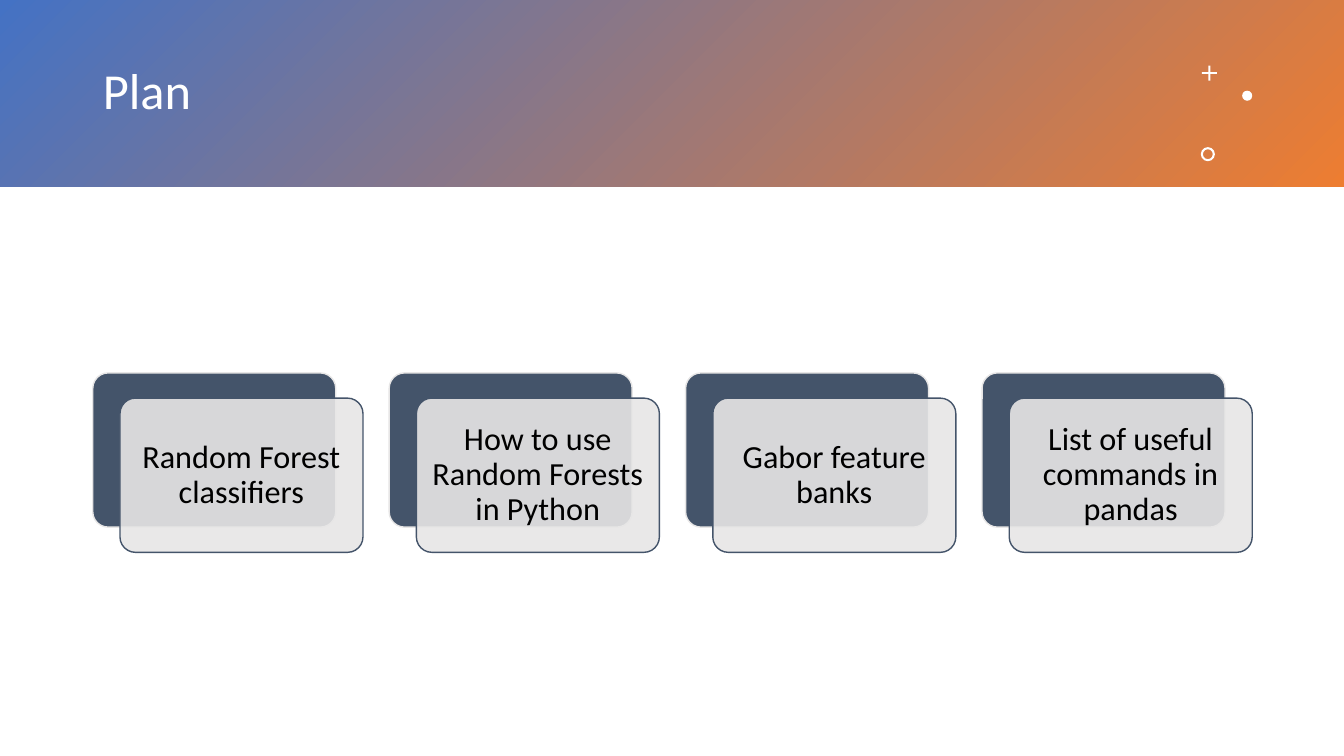
import lxml.etree
import pptx
import pptx.dml.color
import pptx.enum.shapes
import pptx.enum.text
import pptx.oxml.ns
import pptx.util

SHAPES = pptx.enum.shapes.MSO_SHAPE
ALIGN = pptx.enum.text.PP_ALIGN
ANCHOR = pptx.enum.text.MSO_ANCHOR
FONT = "Calibri"

# Slide grid, in inches
SLIDE_WIDTH, SLIDE_HEIGHT = 13.33, 7.5
BAND_HEIGHT = 1.85
MARGIN = 0.92
COLUMN_PITCH = 2.94
CARD_TOP = 3.7
CARD_WIDTH, CARD_HEIGHT = 2.41, 1.53
FRONT_SHIFT_X, FRONT_SHIFT_Y = 0.27, 0.25

BLUE, ORANGE, WHITE, BLACK = "4472C4", "ED7D31", "FFFFFF", "000000"
SLATE, PALE_GREY = "44546A", "E7E6E6"

TOPICS = [
    "Random Forest classifiers",
    "How to use Random Forests in Python",
    "Gabor feature banks",
    "List of useful commands in pandas",
]

# Header ornaments: preset, left, top, size, adjustment
ORNAMENTS = [
    (SHAPES.CROSS, 11.92, 0.65, 0.15, 0.44),
    (SHAPES.OVAL, 12.32, 0.9, 0.1, None),
    (SHAPES.DONUT, 11.91, 1.46, 0.14, 0.15),
]


def color(hex_string):
    return pptx.dml.color.RGBColor.from_string(hex_string)


def add_preset(slide, preset, box, fill=None, line=None, adjustment=None):
    shape = slide.shapes.add_shape(preset, *map(pptx.util.Inches, box))
    shape.shadow.inherit = False
    if adjustment is not None:
        shape.adjustments[0] = adjustment
    if fill:
        shape.fill.solid()
        shape.fill.fore_color.rgb = color(fill)
    if line:
        shape.line.color.rgb = color(line)
        shape.line.width = pptx.util.Pt(1)
    else:
        shape.line.fill.background()
    return shape


def set_opacity(shape, percent):
    qualified = pptx.oxml.ns.qn
    fill_color = shape.element.spPr.find(
        f"{qualified('a:solidFill')}/{qualified('a:srgbClr')}")
    alpha = lxml.etree.SubElement(fill_color, qualified("a:alpha"))
    alpha.set("val", str(percent * 1000))


def write_text(shape, text, size, text_color, alignment):
    frame = shape.text_frame
    frame.word_wrap = True
    frame.auto_size = pptx.enum.text.MSO_AUTO_SIZE.NONE
    frame.vertical_anchor = ANCHOR.MIDDLE
    frame.margin_left = frame.margin_right = pptx.util.Inches(0.1)
    paragraph = frame.paragraphs[0]
    paragraph.alignment = alignment
    paragraph.line_spacing = 0.9
    run = paragraph.add_run()
    run.text = text
    run.font.name = FONT
    run.font.size = pptx.util.Pt(size)
    run.font.color.rgb = color(text_color)


def add_header(slide, text):
    # Gradient band, placed behind the title
    band = add_preset(slide, SHAPES.RECTANGLE, (0, 0, SLIDE_WIDTH, BAND_HEIGHT))
    band.fill.gradient()
    band.fill.gradient_angle = 315
    for stop, stop_color in zip(band.fill.gradient_stops, (BLUE, ORANGE)):
        stop.color.rgb = color(stop_color)
    title = slide.shapes.title
    title.element.addprevious(band.element)

    # Title
    title.left, title.top, title.width, title.height = map(
        pptx.util.Inches, (MARGIN, 0.33, 10.75, 1.19))
    write_text(title, text, 36, WHITE, ALIGN.LEFT)

    # Ornaments
    for preset, left, top, size, adjustment in ORNAMENTS:
        add_preset(slide, preset, (left, top, size, size), WHITE,
                   adjustment=adjustment)


def add_card(slide, column, text):
    left = MARGIN + column * COLUMN_PITCH
    add_preset(slide, SHAPES.ROUNDED_RECTANGLE,
               (left, CARD_TOP, CARD_WIDTH, CARD_HEIGHT),
               SLATE, PALE_GREY, 0.1)
    front = add_preset(slide, SHAPES.ROUNDED_RECTANGLE,
                       (left + FRONT_SHIFT_X, CARD_TOP + FRONT_SHIFT_Y,
                        CARD_WIDTH, CARD_HEIGHT),
                       PALE_GREY, SLATE, 0.1)
    set_opacity(front, 90)
    write_text(front, text, 23, BLACK, ALIGN.CENTER)


def main():
    presentation = pptx.Presentation()
    presentation.slide_width = pptx.util.Inches(SLIDE_WIDTH)
    presentation.slide_height = pptx.util.Inches(SLIDE_HEIGHT)
    title_only = presentation.slide_layouts.get_by_name("Title Only")
    slide = presentation.slides.add_slide(title_only)

    add_header(slide, "Plan")
    for column, topic in enumerate(TOPICS):
        add_card(slide, column, topic)

    presentation.save("out.pptx")


if __name__ == "__main__":
    main()
